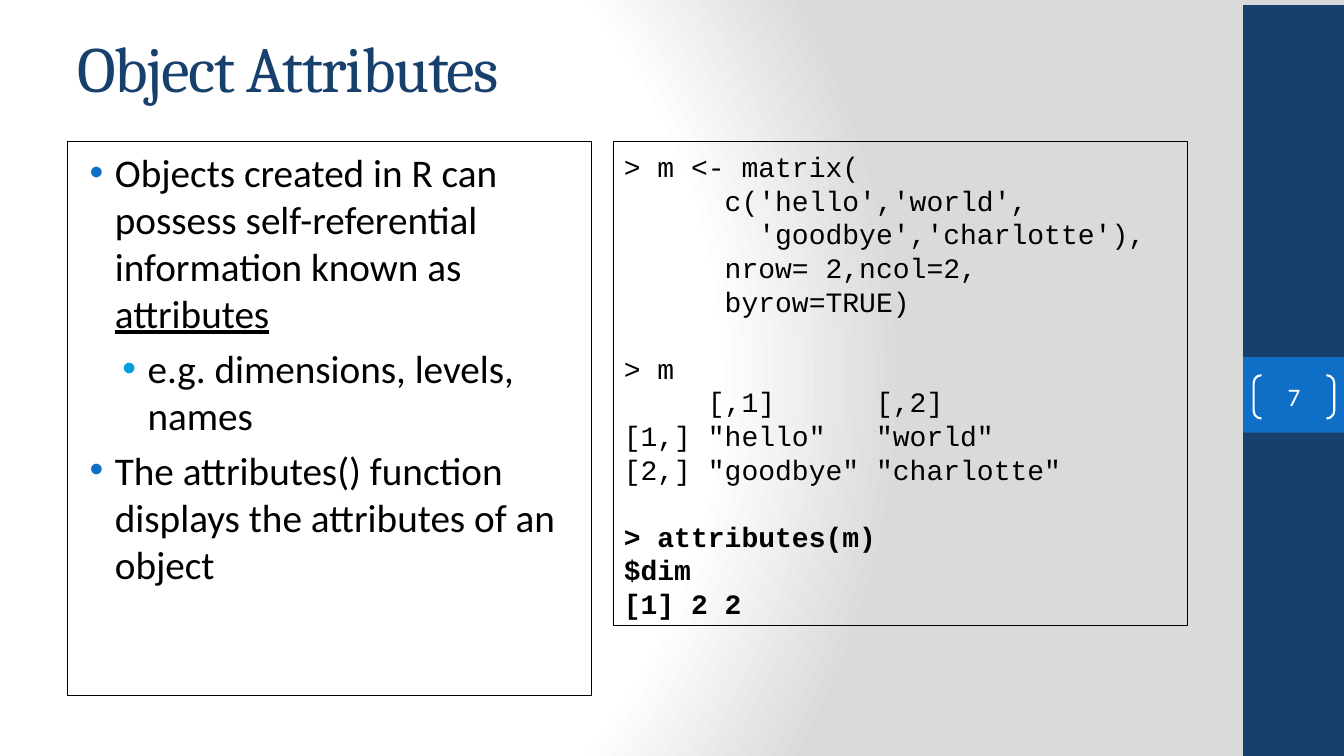
from pptx import Presentation
from pptx.dml.color import RGBColor
from pptx.enum.shapes import MSO_SHAPE
from pptx.enum.text import MSO_ANCHOR, MSO_AUTO_SIZE, PP_ALIGN
from pptx.oxml import parse_xml
from pptx.oxml.ns import nsdecls, qn
from pptx.util import Pt

RECT, BRACKETS = MSO_SHAPE.RECTANGLE, MSO_SHAPE.DOUBLE_BRACKET
TOP, MIDDLE = MSO_ANCHOR.TOP, MSO_ANCHOR.MIDDLE
LEFT, CENTER = PP_ALIGN.LEFT, PP_ALIGN.CENTER
C = {"navy": "17406D", "blue": "0F6FC6", "cyan": "009DD9",
     "white": "FFFFFF", "gray": "DADADA", "black": "000000"}


def add_run(p, text, size=20, font="Calibri", color="black", bold=False,
            underline=False, align=LEFT, leading=None, before=0):
    p.alignment = align
    p.space_before = Pt(before)
    if leading:
        p.line_spacing = Pt(leading)
    r = p.add_run()
    r.text = text
    f = r.font
    f.name, f.size, f.bold, f.underline = font, Pt(size), bold, underline
    f.color.rgb = RGBColor.from_string(C[color])
    return r


def add_box(kind, x, y, w, h, fill=None, line=None, weight=0.75,
            anchor=TOP, insets=(7.2, 3.6, 7.2, 3.6)):
    sp = s.shapes.add_shape(kind, Pt(x), Pt(y), Pt(w), Pt(h))
    sp.shadow.inherit = False
    if fill:
        sp.fill.solid()
        sp.fill.fore_color.rgb = RGBColor.from_string(C[fill])
    else:
        sp.fill.background()
    if line:
        sp.line.color.rgb = RGBColor.from_string(C[line])
        sp.line.width = Pt(weight)
    else:
        sp.line.fill.background()
    tf = sp.text_frame
    tf.word_wrap, tf.vertical_anchor = True, anchor
    tf.margin_left, tf.margin_top, tf.margin_right, tf.margin_bottom = map(Pt, insets)
    return sp


prs = Presentation()
prs.slide_width, prs.slide_height = Pt(960), Pt(540)
s = prs.slides.add_slide(prs.slide_layouts[5])

# Background: radial gradient
s.background.fill.gradient()
grad = s.element.find(".//" + qn("a:gradFill"))
stops = "".join(f'<a:gs pos="{pos}000"><a:srgbClr val="{C[name]}"/></a:gs>'
                for pos, name in ((0, "white"), (75, "white"), (100, "gray")))
grad.getparent().replace(grad, parse_xml(
    f'<a:gradFill {nsdecls("a")} rotWithShape="1"><a:gsLst>{stops}</a:gsLst>'
    '<a:path path="circle"><a:fillToRect l="20000" t="50000" r="100000" b="50000"/>'
    '</a:path></a:gradFill>'))

# Side band and slide number
add_box(RECT, 888, 3.6, 72, 540 - 3.6, fill="navy")
add_box(RECT, 888, 255, 72, 54, fill="blue")
number = add_box(BRACKETS, 895.5, 268, 57.6, 31, line="white", weight=1.5,
                 anchor=MIDDLE, insets=(0, 0, 0, 0))
number.adjustments[0] = 0.18
add_run(number.text_frame.paragraphs[0], "7", size=18, color="white", align=CENTER)

# Title
title = s.shapes.title
title.left, title.top, title.width, title.height = Pt(48), Pt(13), Pt(800), Pt(69)
tf = title.text_frame
tf.auto_size, tf.vertical_anchor = MSO_AUTO_SIZE.NONE, MIDDLE
r = add_run(tf.paragraphs[0], "Object Attributes", size=46, font="Cambria", color="navy")
r.font._element.set("spc", "-100")

# Bullets: (level, text, underlined ending)
bullets = [
    (0, "Objects created in R can possess self-referential information known as ",
     "attributes"),
    (1, "e.g. dimensions, levels, names", ""),
    (0, "The attributes() function displays the attributes of an object", ""),
]
levels = [(27, "blue"), (50.4, "cyan")]
tf = add_box(RECT, 48, 100.8, 374.4, 396, line="black",
             insets=(7.2, 5, 7.2, 3.6)).text_frame
for i, (level, text, ending) in enumerate(bullets):
    p = tf.add_paragraph() if i else tf.paragraphs[0]
    p.level = level
    indent, color = levels[level]
    pPr = p._p.get_or_add_pPr()
    pPr.set("marL", str(Pt(indent)))
    pPr.set("indent", str(Pt(-18)))
    for xml in (f'<a:buClr {nsdecls("a")}><a:srgbClr val="{C[color]}"/></a:buClr>',
                f'<a:buFont {nsdecls("a")} typeface="Arial"/>',
                f'<a:buChar {nsdecls("a")} char="•"/>'):
        pPr.append(parse_xml(xml))
    style = dict(size=28, leading=33.6, before=5.6 if i else 0)
    add_run(p, text, **style)
    if ending:
        add_run(p, ending, underline=True, **style)

# Code: blocks set apart by one line of space
LEADING = 24
blocks = [
    (False, ["> m <- matrix(",
             "      c('hello','world',",
             "        'goodbye','charlotte'),",
             "      nrow= 2,ncol=2,",
             "      byrow=TRUE)"]),
    (False, ["> m",
             "     [,1]      [,2]",
             '[1,] "hello"   "world"',
             '[2,] "goodbye" "charlotte"']),
    (True, ["> attributes(m)", "$dim", "[1] 2 2"]),
]
tf = add_box(RECT, 438.5, 100.8, 409.7, 346.3, line="black",
             insets=(7.2, 6, 7.2, 3.6)).text_frame
for b, (bold, lines) in enumerate(blocks):
    for n, text in enumerate(lines):
        p = tf.add_paragraph() if b or n else tf.paragraphs[0]
        add_run(p, text, font="Courier New", bold=bold, leading=LEADING,
                before=LEADING if b and n == 0 else 0)

prs.save("out.pptx")
